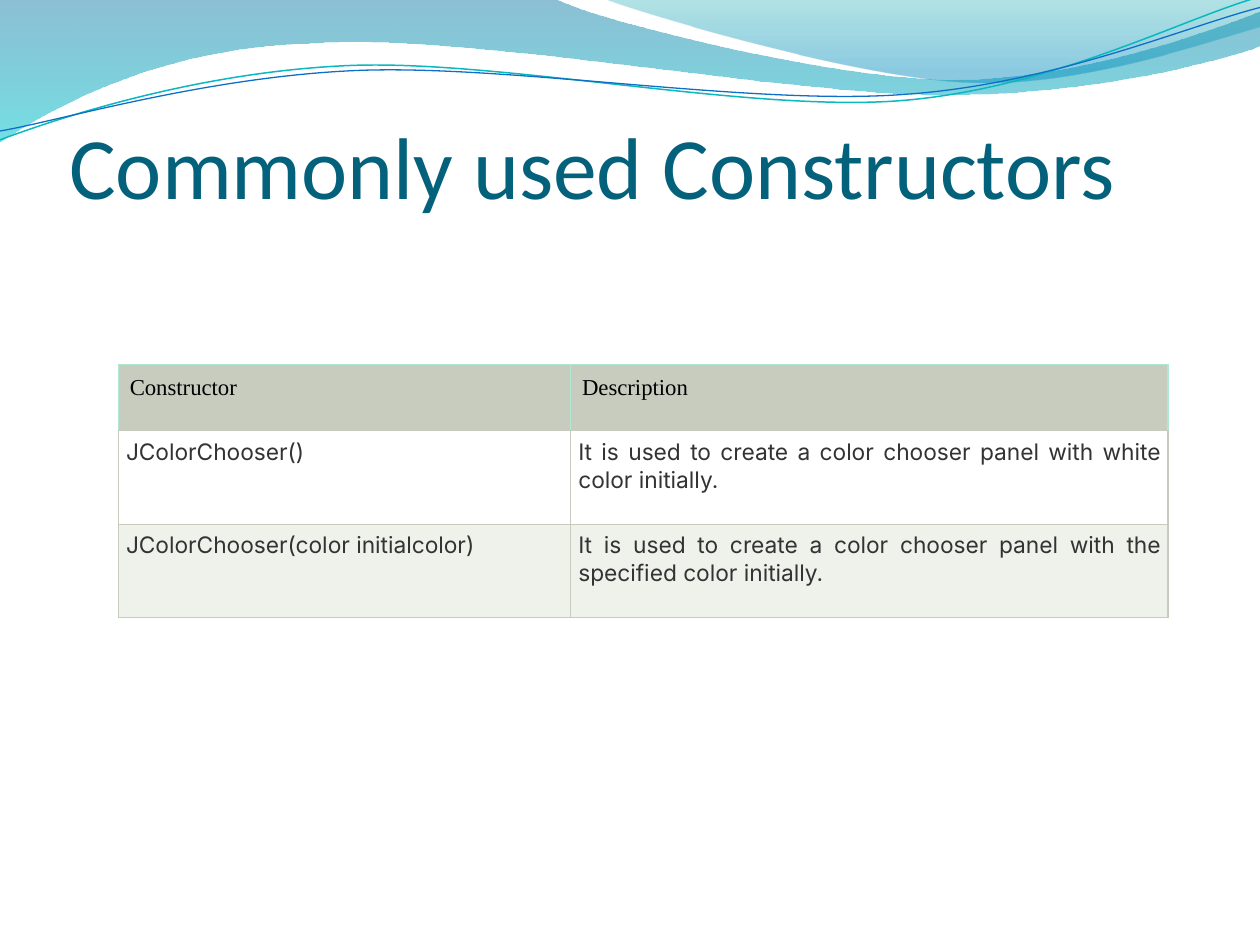
import math
from dataclasses import dataclass
from typing import Optional

import pptx
import pptx.dml.color
import pptx.enum.text
import pptx.oxml
import pptx.oxml.ns
import pptx.util

Inches = pptx.util.Inches
Point = tuple[float, float]
COLORS = {
    "title": "04617B", "head_text": "000000", "body_text": "333333",
    "head_fill": "C7CCBE", "plain_fill": "FFFFFF", "tint_fill": "EFF1EB",
    "head_edge": "B0E9D1", "body_edge": "C7CCBE",
    "deep_blue": "0074A1", "cyan": "00C6CF", "teal": "00A1A9", "sky": "008BBF",
    "teal_line": "0AB8BF", "blue_line": "0F6FC6",
}


@dataclass
class Stop:
    position: float
    color: str
    alpha: int


@dataclass
class Wave:
    """Each step holds one point (straight) or three points (cubic curve)."""
    start: Point
    steps: list[tuple[Point, ...]]
    stops: tuple[Stop, ...] = ()
    line: Optional[str] = None
    width: float = 0.75
    tilt: float = 0
    center: Point = (0, 0)


@dataclass
class RowStyle:
    fill: str
    edge: str
    text: str
    font: str
    margin: float
    align: pptx.enum.text.PP_ALIGN


WAVES = [
    Wave((0, 0), [
        ((4.4, -0.01),),
        ((4.76, 0.17), (6.64, 0.63), (7.58, 0.63)),
        ((8.53, 0.63), (9.58, 0.26), (10, 0.09)),
        ((10.01, 0.36),),
        ((9.83, 0.44), (8.7, 0.76), (7.46, 0.75)),
        ((6.22, 0.75), (3.82, 0.28), (2.57, 0.34)),
        ((1.29, 0.36), (0.46, 0.83), (-0.01, 1.13)),
        ((0, 0),),
    ], stops=(Stop(0, "deep_blue", 45), Stop(1, "cyan", 55))),
    Wave((4.79, -0.01), [
        ((5.09, 0.11), (6.82, 0.62), (7.69, 0.65)),
        ((8.56, 0.69), (9.61, 0.32), (10, 0.21)),
        ((10, 0),),
        ((4.79, -0.01),),
    ], stops=(Stop(0, "teal", 30), Stop(0.8, "sky", 45))),
    Wave((0, 1.11), [
        ((0.48, 0.93), (1.58, 0.57), (2.77, 0.52)),
        ((3.95, 0.47), (5.93, 0.89), (7.13, 0.8)),
        ((8.33, 0.71), (9.38, 0.15), (9.98, -0.02)),
    ], line="teal_line", width=0.85, tilt=-2.7, center=(4.99, 0.58)),
    Wave((0, 1.04), [
        ((0.47, 0.96), (1.64, 0.61), (2.83, 0.56)),
        ((4.03, 0.51), (5.97, 0.84), (7.17, 0.75)),
        ((8.36, 0.67), (9.41, 0.21), (10, 0.06)),
    ], line="blue_line", tilt=-2.7, center=(5, 0.59)),
]

ALIGN = pptx.enum.text.PP_ALIGN
HEAD = RowStyle("head_fill", "head_edge", "head_text", "Times New Roman", 0.09, ALIGN.LEFT)
PLAIN = RowStyle("plain_fill", "body_edge", "body_text", "Inter", 0.06, ALIGN.JUSTIFY)
TINT = RowStyle("tint_fill", "body_edge", "body_text", "Inter", 0.06, ALIGN.JUSTIFY)
ROWS = [
    (HEAD, 0.53, ("Constructor", "Description")),
    (PLAIN, 0.74, ("JColorChooser()",
                   "It is used to create a color chooser panel with white color initially.")),
    (TINT, 0.74, ("JColorChooser(color initialcolor)",
                  "It is used to create a color chooser panel with the specified color initially.")),
]
COLUMN_WIDTHS = (3.59, 4.74)


def rgb(name: str) -> pptx.dml.color.RGBColor:
    return pptx.dml.color.RGBColor.from_string(COLORS[name])


def set_all(target, values: dict) -> None:
    for name, value in values.items():
        setattr(target, name, value)


def format_text(para, font: str, size: float, color: str, align) -> None:
    para.alignment = align
    set_all(para.font, {"name": font, "size": pptx.util.Pt(size), "bold": False})
    para.font.color.rgb = rgb(color)


def level_point(point: Point, wave: Wave) -> tuple[int, int]:
    """Turn a point back by the tilt that the shape's rotation adds."""
    angle = math.radians(-wave.tilt)
    x, y = point[0] - wave.center[0], point[1] - wave.center[1]
    return (Inches(wave.center[0] + x * math.cos(angle) - y * math.sin(angle)),
            Inches(wave.center[1] + x * math.sin(angle) + y * math.cos(angle)))


def bend_segments(shape, steps: list[tuple[Point, ...]]) -> None:
    """Join the three segments of each curved step into one cubic curve."""
    segments = iter(list(shape._element.iter(pptx.oxml.ns.qn("a:lnTo"))))
    for step in steps:
        group = [next(segments) for _ in step]
        if len(group) == 3:
            curve = pptx.oxml.parse_xml(f'<a:cubicBezTo {pptx.oxml.ns.nsdecls("a")}/>')
            group[0].addprevious(curve)
            for segment in group:
                curve.append(segment[0])
                segment.getparent().remove(segment)


def draw_wave(page, wave: Wave) -> None:
    builder = page.shapes.build_freeform(*level_point(wave.start, wave))
    builder.add_line_segments([level_point(point, wave) for step in wave.steps for point in step],
                              close=bool(wave.stops))
    shape = builder.convert_to_shape()
    bend_segments(shape, wave.steps)
    shape.rotation = wave.tilt
    shape.shadow.inherit = False
    if wave.line:
        shape.fill.background()
        shape.line.color.rgb = rgb(wave.line)
        shape.line.width = pptx.util.Pt(wave.width)
        return
    shape.line.fill.background()
    shape.fill.gradient()
    shape.fill.gradient_angle = 270
    for target, stop in zip(shape.fill.gradient_stops, wave.stops):
        target.position = stop.position
        target.color.rgb = rgb(stop.color)
    # Transparency of the gradient stops
    colors = shape.fill._xPr.iter(pptx.oxml.ns.qn("a:srgbClr"))
    for element, stop in zip(colors, wave.stops):
        element.append(pptx.oxml.parse_xml(
            f'<a:alpha {pptx.oxml.ns.nsdecls("a")} val="{stop.alpha * 1000}"/>'))


def add_borders(cell, edges: dict[str, str]) -> None:
    properties = cell._tc.get_or_add_tcPr()
    for side, color in edges.items():
        properties.append(pptx.oxml.parse_xml(
            f'<a:ln{side} {pptx.oxml.ns.nsdecls("a")} w="{pptx.util.Pt(0.75)}">'
            f'<a:solidFill><a:srgbClr val="{COLORS[color]}"/></a:solidFill></a:ln{side}>'))


def fill_cell(cell, text: str, style: RowStyle) -> None:
    add_borders(cell, {"L": style.edge, "R": style.edge, "T": style.edge, "B": "body_edge"})
    cell.fill.solid()
    cell.fill.fore_color.rgb = rgb(style.fill)
    set_all(cell, {f"margin_{side}": Inches(style.margin)
                   for side in ("left", "right", "top", "bottom")})
    cell.text = text
    format_text(cell.text_frame.paragraphs[0], style.font, 13, style.text, style.align)


def draw_table(page) -> None:
    table = page.shapes.add_table(
        len(ROWS), len(COLUMN_WIDTHS), Inches(0.94), Inches(2.89),
        Inches(sum(COLUMN_WIDTHS)), Inches(sum(row[1] for row in ROWS))).table
    for column, width in zip(table.columns, COLUMN_WIDTHS):
        column.width = Inches(width)
    for row, (style, height, texts) in zip(table.rows, ROWS):
        row.height = Inches(height)
        for cell, text in zip(row.cells, texts):
            fill_cell(cell, text, style)


def write_title(page) -> None:
    title = page.shapes.title
    set_all(title, {"left": Inches(0.55), "top": Inches(0.47),
                    "width": Inches(9), "height": Inches(1.25)})
    title.text = "Commonly used Constructors"
    set_all(title.text_frame, {
        "margin_left": 0, "margin_right": 0, "margin_top": Inches(0.05), "margin_bottom": 0,
        "word_wrap": True, "auto_size": pptx.enum.text.MSO_AUTO_SIZE.NONE,
        "vertical_anchor": pptx.enum.text.MSO_ANCHOR.BOTTOM})
    format_text(title.text_frame.paragraphs[0], "Calibri", 50, "title", ALIGN.LEFT)


def main() -> None:
    deck = pptx.Presentation()
    set_all(deck, {"slide_width": Inches(10), "slide_height": Inches(7.5)})
    page = deck.slides.add_slide(deck.slide_layouts[5])
    # Waves across the top
    for wave in WAVES:
        draw_wave(page, wave)
    # Title and table
    write_title(page)
    draw_table(page)
    deck.save("out.pptx")


if __name__ == "__main__":
    main()
